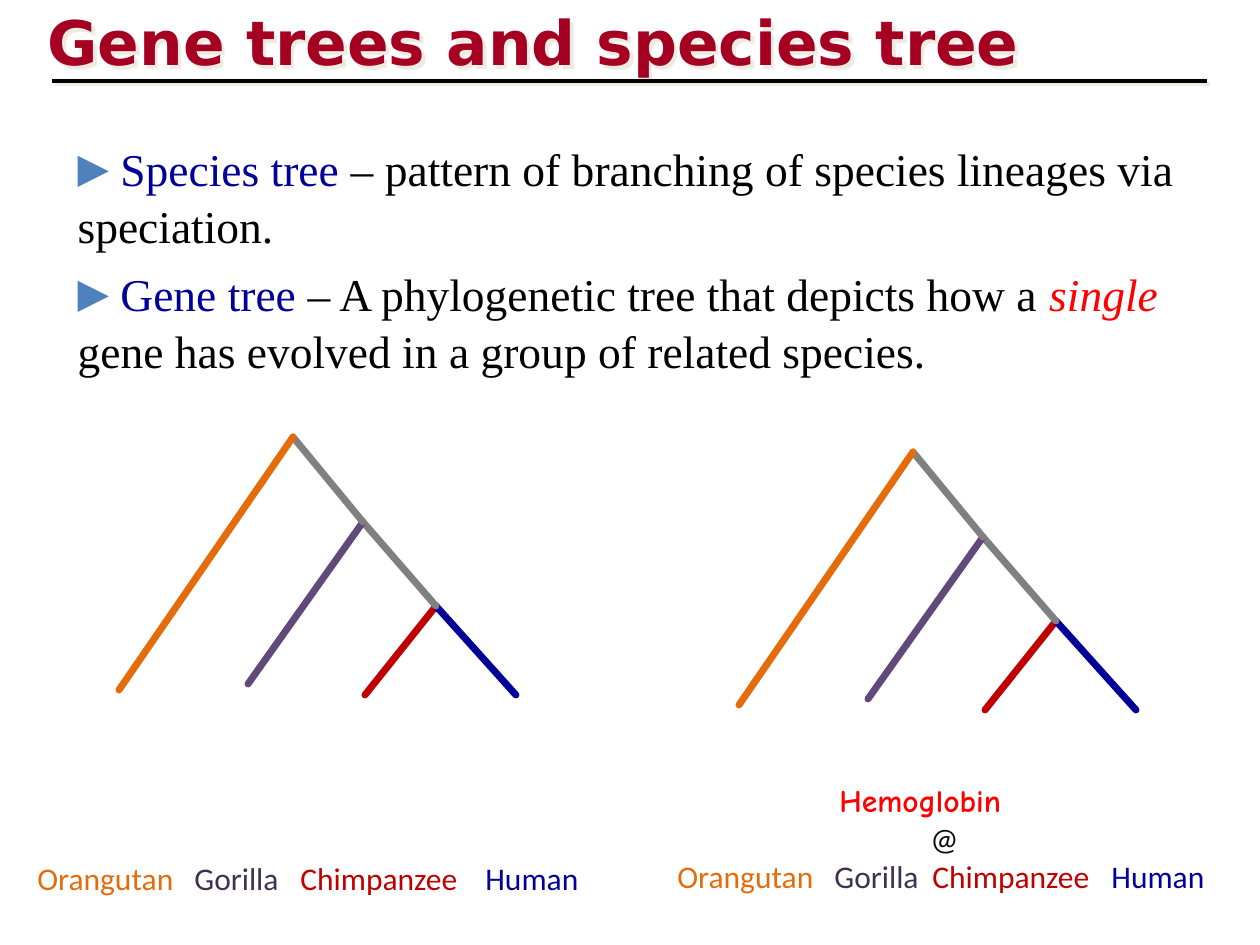
from typing import NamedTuple

from lxml import etree
from pptx import Presentation
from pptx import util as u
from pptx.dml.color import RGBColor
from pptx.enum import shapes, text
from pptx.oxml.ns import qn

EMU_PER_PX = 914400 / 126
COLORS = {
    "title": "A50021", "black": "000000", "shadow": "EEECE1", "bullet": "4F81BD",
    "term": "000099", "stress": "FF0000", "at": "0D0D0D", "trunk": "808080",
    "orangutan": "E46C0A", "gorilla": "604A7B", "gorilla label": "403152",
    "chimpanzee": "C00000", "human": "000099",
}


class Span(NamedTuple):
    words: str
    color: str
    font: str = "Calibri"
    size: float = 18
    bold: bool = False
    italic: bool = False


class Branch(NamedTuple):
    start: tuple[int, int]
    end: tuple[int, int]
    color: str


class Labels(NamedTuple):
    left: int
    top: int
    height: int
    lines: list[tuple[list[int], list[Span]]]  # tab stops and spans


def px(length: float) -> u.Emu:
    return u.Emu(round(length * EMU_PER_PX))


def rgb(name: str) -> RGBColor:
    return RGBColor.from_string(COLORS[name])


def place(shape, left: int, top: int, width: int, height: int) -> None:
    shape.left, shape.top = px(left), px(top)
    shape.width, shape.height = px(width), px(height)


def add_effects(shape, shadow: bool) -> None:
    effects = etree.SubElement(shape._element.spPr, qn("a:effectLst"))
    if shadow:
        outer = etree.SubElement(effects, qn("a:outerShdw"), dist="35921",
                                 dir="2700000", algn="ctr", rotWithShape="0")
        etree.SubElement(outer, qn("a:srgbClr"), val=COLORS["shadow"])


def add_spans(para, spans: list[Span]) -> None:
    for span in spans:
        run = para.add_run()
        run.text = span.words
        font = run.font
        font.name, font.size = span.font, u.Pt(span.size)
        font.bold, font.italic = span.bold, span.italic
        font.color.rgb = rgb(span.color)


def add_bullet(para) -> None:
    properties = para._p.get_or_add_pPr()
    properties.set("marL", "0")
    properties.set("indent", "0")
    color = etree.SubElement(properties, qn("a:buClr"))
    etree.SubElement(color, qn("a:srgbClr"), val=COLORS["bullet"])
    etree.SubElement(properties, qn("a:buSzPct"), val="90000")
    etree.SubElement(properties, qn("a:buFont"), typeface="DejaVu Sans")
    etree.SubElement(properties, qn("a:buChar"), char="▶")


def add_tabs(para, stops: list[int]) -> None:
    tabs = etree.SubElement(para._p.get_or_add_pPr(), qn("a:tabLst"))
    for stop in stops:
        etree.SubElement(tabs, qn("a:tab"), pos=str(px(stop)), algn="l")


def add_line(page, start: tuple[int, int], end: tuple[int, int], color: str,
             weight: float, shadow: bool = False, rounded: bool = False) -> None:
    line = page.shapes.add_connector(
        shapes.MSO_CONNECTOR.STRAIGHT, *map(px, start + end))
    line.line.color.rgb = rgb(color)
    line.line.width = u.Pt(weight)
    if rounded:
        line.line._get_or_add_ln().set("cap", "rnd")
    add_effects(line, shadow)


def add_tree(page, branches: list[Branch], right: int, down: int) -> None:
    for branch in branches:
        start, end = ((x + right, y + down) for x, y in branch[:2])
        add_line(page, start, end, branch.color, 4, rounded=True)


def add_labels(page, labels: Labels) -> None:
    box = page.shapes.add_textbox(
        *map(px, (labels.left, labels.top, 586, labels.height)))
    frame = box.text_frame
    frame.word_wrap = True
    for index, (stops, spans) in enumerate(labels.lines):
        para = frame.add_paragraph() if index else frame.paragraphs[0]
        add_tabs(para, stops)
        add_spans(para, spans)


def body_span(words: str, color: str = "black", italic: bool = False) -> Span:
    return Span(words, color, "Times New Roman", 26, italic=italic)


DEFINITIONS = [
    [body_span(" Species tree ", "term"),
     body_span("– pattern of branching of species lineages via speciation.")],
    [body_span(" Gene tree ", "term"),
     body_span("– A phylogenetic tree that depicts how a "),
     body_span("single ", "stress", italic=True),
     body_span("gene has evolved in a group of related species.")],
]

ROOT, APE_NODE, HUMAN_NODE = (293, 437), (363, 522), (436, 606)
TREE = [
    Branch((365, 695), HUMAN_NODE, "chimpanzee"),
    Branch((516, 695), HUMAN_NODE, "human"),
    Branch(HUMAN_NODE, APE_NODE, "trunk"),
    Branch((248, 684), APE_NODE, "gorilla"),
    Branch(APE_NODE, ROOT, "trunk"),
    Branch((119, 690), ROOT, "orangutan"),
]

SPECIES = [Span("Orangutan", "orangutan"), Span("\tGorilla", "gorilla label"),
           Span("\tChimpanzee", "chimpanzee"), Span("\tHuman", "human")]
LABELS = [
    Labels(25, 853, 50, [([157, 263, 448], SPECIES)]),
    Labels(665, 775, 127, [
        ([162], [Span("\tHemoglobin", "stress", "Comic Neue", bold=True)]),
        ([253], [Span("\t@", "at")]),
        ([157, 255, 434], SPECIES),
    ]),
]


def main() -> None:
    deck = Presentation()
    deck.slide_width, deck.slide_height = px(1260), px(945)
    page = deck.slides.add_slide(deck.slide_layouts[1])

    # Title and rule
    title = page.shapes.title
    place(title, 35, -1, 1071, 84)
    title.fill.background()
    add_effects(title, shadow=True)
    title.text_frame.auto_size = text.MSO_AUTO_SIZE.NONE
    heading = title.text_frame.paragraphs[0]
    heading.alignment = text.PP_ALIGN.LEFT
    add_spans(heading, [Span("Gene trees and species tree", "title",
                             "DejaVu Sans", 35.1, bold=True)])
    add_line(page, (52, 81), (1207, 81), "black", 2.25, shadow=True)

    # Definitions
    body = page.placeholders[1]
    place(body, 65, 132, 1147, 244)
    frame = body.text_frame
    frame.auto_size = text.MSO_AUTO_SIZE.NONE
    for index, spans in enumerate(DEFINITIONS):
        para = frame.add_paragraph() if index else frame.paragraphs[0]
        add_bullet(para)
        para.line_spacing = 1.05
        para.space_before = u.Pt(6 if index else 0)
        add_spans(para, spans)

    # Species tree on the left, gene tree on the right
    for right, down in ((0, 0), (620, 15)):
        add_tree(page, TREE, right, down)
    for labels in LABELS:
        add_labels(page, labels)

    deck.save("out.pptx")


if __name__ == "__main__":
    main()
